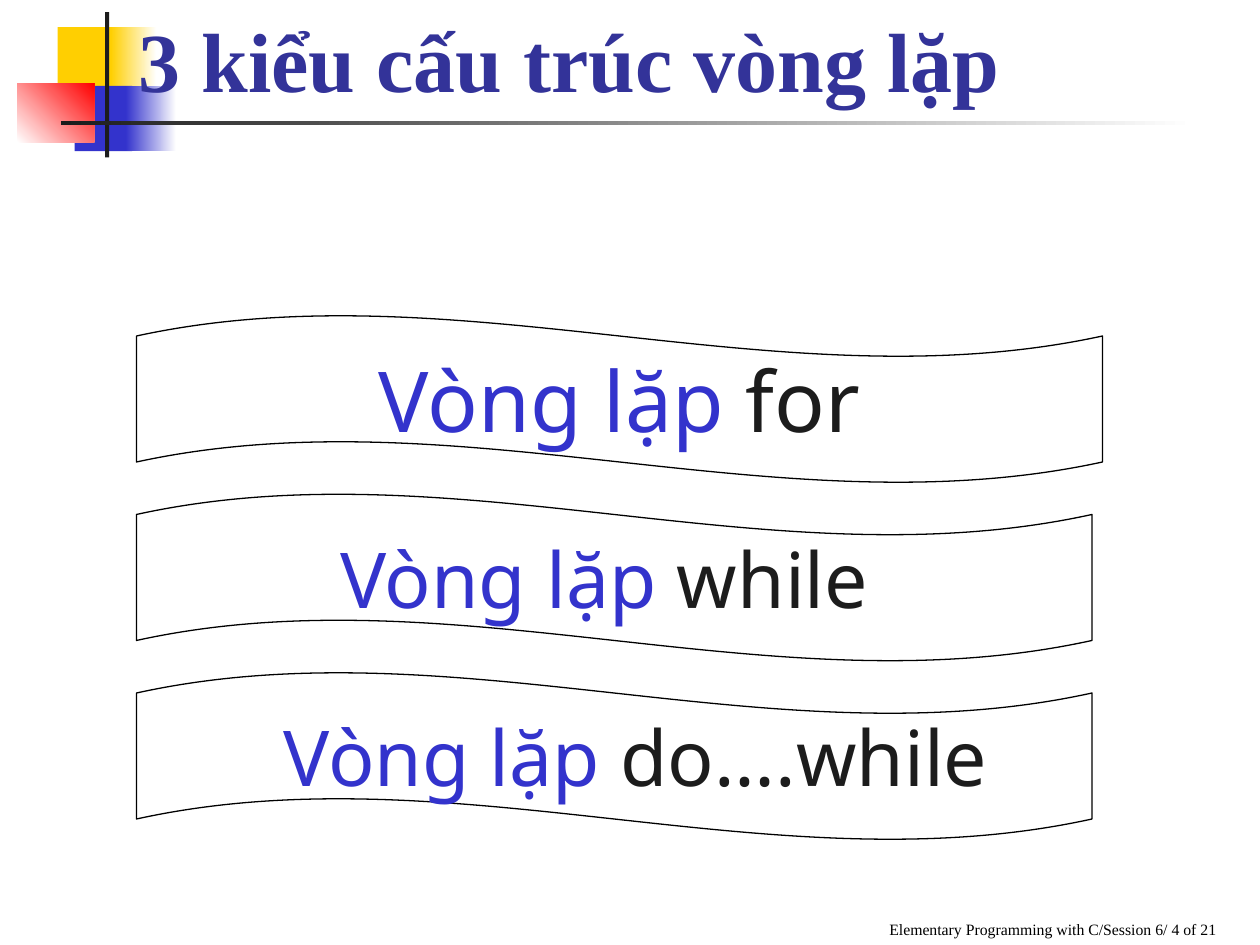
from dataclasses import dataclass
from pptx import Presentation
from pptx.util import Pt
from pptx.dml.color import RGBColor
from pptx.enum.shapes import MSO_SHAPE
from pptx.enum.text import PP_ALIGN, MSO_ANCHOR, MSO_AUTO_SIZE


@dataclass
class Theme:
    gold: str = "FFCF01"
    blue: str = "3333CC"
    red: str = "FF0000"
    dark: str = "1C1C1C"
    white: str = "FFFFFF"
    black: str = "000000"
    navy: str = "333399"
    serif: str = "Times New Roman"
    sans: str = "Noto Sans"
    head: int = 48
    large: int = 48
    mid: int = 44
    foot: int = 9


theme = Theme()


def add_run(para, text, face, size, color, bold=False):
    run = para.add_run()
    run.text = text
    run.font.name = face
    run.font.size = Pt(size)
    run.font.bold = bold
    run.font.color.rgb = RGBColor.from_string(color)


def add_box(kind, left, top, width, height):
    box = slide.shapes.add_shape(kind, Pt(left), Pt(top), Pt(width), Pt(height))
    box.shadow.inherit = False
    return box


deck = Presentation()
deck.slide_width, deck.slide_height = Pt(720), Pt(540)
slide = deck.slides.add_slide(deck.slide_layouts[5])

# Corner ornament and rule: place, start colour, end colour, angle
blocks = [
    (33, 15.6, 34.6, 37.6, theme.gold, None, 0),
    (63.4, 15.6, 26, 37.6, theme.gold, theme.white, 0),
    (42.6, 49, 33, 37.4, theme.blue, None, 0),
    (72, 49, 28.8, 37.4, theme.blue, theme.white, 0),
    (9.8, 47.6, 44, 33.6, theme.white, theme.red, 45),
    (60, 7, 2.4, 83, theme.dark, None, 0),
    (34.8, 69.2, 648, 2.5, theme.dark, theme.white, 0),
]
for *place, start, end, angle in blocks:
    box = add_box(MSO_SHAPE.RECTANGLE, *place)
    box.line.fill.background()
    if end:
        box.fill.gradient()
        box.fill.gradient_angle = angle
        for stop, color, spot in zip(box.fill.gradient_stops, (start, end), (0, 1)):
            stop.color.rgb = RGBColor.from_string(color)
            stop.position = spot
    else:
        box.fill.solid()
        box.fill.fore_color.rgb = RGBColor.from_string(start)

# Footer
foot = slide.shapes.add_textbox(Pt(264), Pt(504), Pt(438), Pt(36))
frame = foot.text_frame
frame.word_wrap = True
frame.vertical_anchor = MSO_ANCHOR.BOTTOM
para = frame.paragraphs[0]
para.alignment = PP_ALIGN.RIGHT
add_run(para, "Elementary Programming with C/Session 6/ 4 of 21",
        theme.serif, theme.foot, theme.black)

# Title, raised above the ornament
title = slide.shapes.title
title.left, title.top, title.width, title.height = Pt(72), Pt(6), Pt(632), Pt(60)
slide.shapes._spTree.append(title._element)
frame = title.text_frame
frame.auto_size = MSO_AUTO_SIZE.NONE
frame.vertical_anchor = MSO_ANCHOR.BOTTOM
para = frame.paragraphs[0]
para.alignment = PP_ALIGN.LEFT
add_run(para, "3 kiểu cấu trúc vòng lặp ", theme.serif, theme.head, theme.navy, True)

# Loop banners: keyword, width, type size, indent
loops = [
    ("for", 552, theme.large, 0),
    ("while ", 546, theme.mid, 0),
    ("do….while ", 546, theme.mid, 36),
]
for row, (word, width, size, indent) in enumerate(loops):
    wave = add_box(MSO_SHAPE.WAVE, 78, 180 + 102 * row, width, 96)
    wave.adjustments[0] = 0.125
    wave.adjustments[1] = 0
    wave.fill.background()
    wave.line.width = Pt(0.75)
    wave.line.color.rgb = RGBColor.from_string(theme.black)
    frame = wave.text_frame
    frame.word_wrap = False
    frame.vertical_anchor = MSO_ANCHOR.MIDDLE
    para = frame.paragraphs[0]
    para.alignment = PP_ALIGN.CENTER
    if indent:
        para.level = 1
        props = para._p.get_or_add_pPr()
        props.set("marL", str(Pt(indent)))
        props.set("indent", "0")
    add_run(para, "Vòng lặp ", theme.sans, size, theme.blue)
    add_run(para, word, theme.sans, size, theme.dark)

deck.save("out.pptx")
